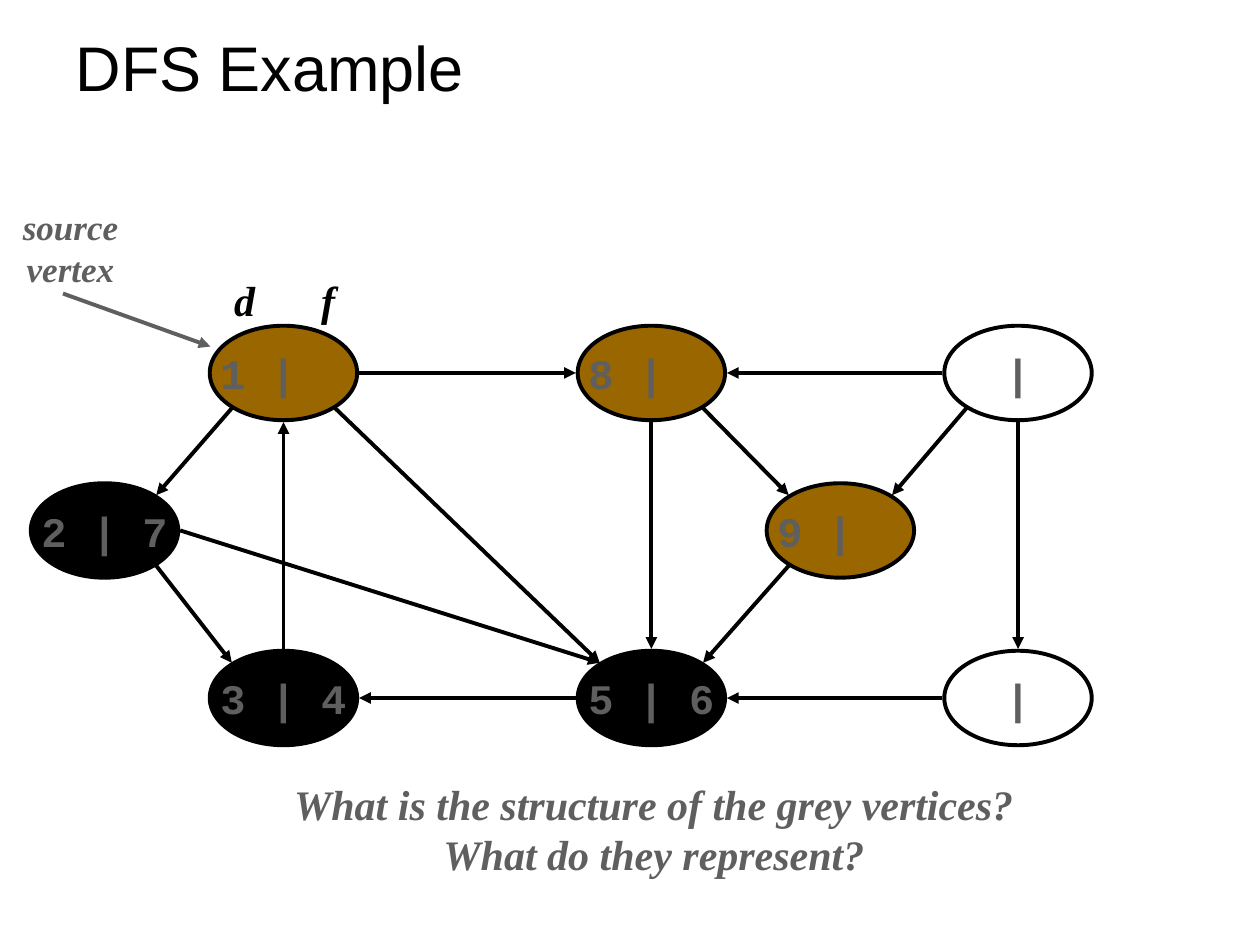
from dataclasses import dataclass

from lxml.etree import SubElement
from pptx import Presentation
from pptx.dml.color import RGBColor
from pptx.enum.shapes import MSO_CONNECTOR, MSO_SHAPE
from pptx.enum.text import MSO_ANCHOR, PP_ALIGN
from pptx.oxml.ns import qn
from pptx.util import Inches, Pt


@dataclass(frozen=True)
class Theme:
    black: RGBColor = RGBColor(0, 0, 0)
    muted: RGBColor = RGBColor(0x5F, 0x5F, 0x5F)
    active: RGBColor = RGBColor(0x99, 0x66, 0x00)
    title_size: int = 36
    body_size: int = 24
    note_size: int = 20
    title_font: str = "Arial"
    body_font: str = "Times New Roman"
    time_font: str = "Courier New"
    line_width: float = 2.25


THEME = Theme()
NODE_WIDTH, NODE_HEIGHT = 1.17, 0.75

# name: (centre x, centre y, discovery time, finish time, fill)
VERTICES = {
    "source": (2.25, 2.96, "1", " ", THEME.active),
    "top middle": (5.17, 2.96, "8", " ", THEME.active),
    "top right": (8.08, 2.96, " ", " ", None),
    "bottom right": (8.08, 5.54, " ", " ", None),
    "bottom middle": (5.17, 5.54, "5", "6", THEME.black),
    "bottom left": (2.25, 5.54, "3", "4", THEME.black),
    "left": (0.83, 4.21, "2", "7", THEME.black),
    "right": (6.67, 4.21, "9", " ", THEME.active),
}

# Offsets from a vertex centre to the points where arrows meet its rim
SITES = {
    "N": (0, -0.39), "S": (0, 0.39), "W": (-0.6, 0), "E": (0.6, 0),
    "NW": (-0.41, -0.28), "NE": (0.41, -0.28),
    "SW": (-0.41, 0.28), "SE": (0.41, 0.28),
}

EDGES = [
    ("source", "SW", "left", "NE"),
    ("left", "SE", "bottom left", "NW"),
    ("left", "E", "bottom middle", "NW"),
    ("bottom middle", "W", "bottom left", "E"),
    ("bottom left", "N", "source", "S"),
    ("source", "SE", "bottom middle", "NW"),
    ("top middle", "S", "bottom middle", "N"),
    ("source", "E", "top middle", "W"),
    ("top right", "W", "top middle", "E"),
    ("top middle", "SE", "right", "NW"),
    ("top right", "SW", "right", "NE"),
    ("top right", "S", "bottom right", "N"),
    ("bottom right", "W", "bottom middle", "E"),
    ("right", "SW", "bottom middle", "NE"),
]


def write_text(frame, *lines, font=THEME.body_font, size=THEME.body_size,
               color=THEME.muted, bold=True, italic=True,
               align=PP_ALIGN.CENTER, anchor=MSO_ANCHOR.TOP, wrap=False):
    """Write lines as one paragraph with line breaks and return it."""
    frame.word_wrap = wrap
    frame.vertical_anchor = anchor
    para = frame.paragraphs[0]
    para.alignment = align
    for index, line in enumerate(lines):
        if index:
            para.add_line_break()
        span = para.add_run()
        span.text = line
        span.font.name = font
        span.font.size = Pt(size)
        span.font.bold = bold
        span.font.italic = italic
        span.font.color.rgb = color
    return para


def add_label(page, left, top, width, height, *lines, **text_format):
    box = page.shapes.add_textbox(*map(Inches, (left, top, width, height)))
    return write_text(box.text_frame, *lines, **text_format)


def add_vertex(page, x, y, discovered, finished, fill):
    oval = page.shapes.add_shape(
        MSO_SHAPE.OVAL, Inches(x - NODE_WIDTH / 2), Inches(y - NODE_HEIGHT / 2),
        Inches(NODE_WIDTH), Inches(NODE_HEIGHT))
    oval.shadow.inherit = False
    if fill is None:
        oval.fill.background()
    else:
        oval.fill.solid()
        oval.fill.fore_color.rgb = fill
    oval.line.color.rgb = THEME.black
    oval.line.width = Pt(THEME.line_width)
    write_text(oval.text_frame, f"{discovered} | {finished}",
               font=THEME.time_font, italic=False, anchor=MSO_ANCHOR.MIDDLE)


def add_arrow(page, start, end, color=THEME.black):
    arrow = page.shapes.add_connector(
        MSO_CONNECTOR.STRAIGHT, *map(Inches, (*start, *end)))
    arrow.line.color.rgb = color
    arrow.line.width = Pt(THEME.line_width)
    SubElement(arrow.line._get_or_add_ln(), qn("a:tailEnd"), type="triangle")
    SubElement(arrow._element.spPr, qn("a:effectLst"))


def rim_point(vertex, site):
    x, y = VERTICES[vertex][:2]
    dx, dy = SITES[site]
    return x + dx, y + dy


def add_tab_stop(para, position):
    tabs = SubElement(para._p.get_or_add_pPr(), qn("a:tabLst"))
    SubElement(tabs, qn("a:tab"), pos=str(Inches(position)), algn="l")


def add_title(page, text):
    title = page.shapes.title
    title.left, title.top = Inches(0.5), Inches(0.21)
    title.width, title.height = Inches(9), Inches(0.64)
    write_text(title.text_frame, text, font=THEME.title_font,
               size=THEME.title_size, color=THEME.black, bold=False,
               italic=False, align=PP_ALIGN.LEFT, anchor=MSO_ANCHOR.MIDDLE,
               wrap=True)


def main():
    deck = Presentation()
    deck.slide_width, deck.slide_height = Inches(10), Inches(7.5)
    page = deck.slides.add_slide(deck.slide_layouts[5])
    add_title(page, "DFS Example")

    for vertex in VERTICES.values():
        add_vertex(page, *vertex)
    for start, start_site, end, end_site in EDGES:
        add_arrow(page, rim_point(start, start_site), rim_point(end, end_site))

    add_arrow(page, (0.5, 2.33), (1.67, 2.75), THEME.muted)
    add_label(page, 0.08, 1.58, 0.96, 0.77, "source", "vertex",
              size=THEME.note_size)
    times = add_label(page, 1.76, 2, 1.08, 0.75, "d\tf", color=THEME.black,
                      align=PP_ALIGN.LEFT, anchor=MSO_ANCHOR.MIDDLE, wrap=True)
    add_tab_stop(times, 0.69)
    add_label(page, 2.15, 6.13, 6.08, 0.9,
              "What is the structure of the grey vertices?",
              "What do they represent?")
    deck.save("out.pptx")


if __name__ == "__main__":
    main()
